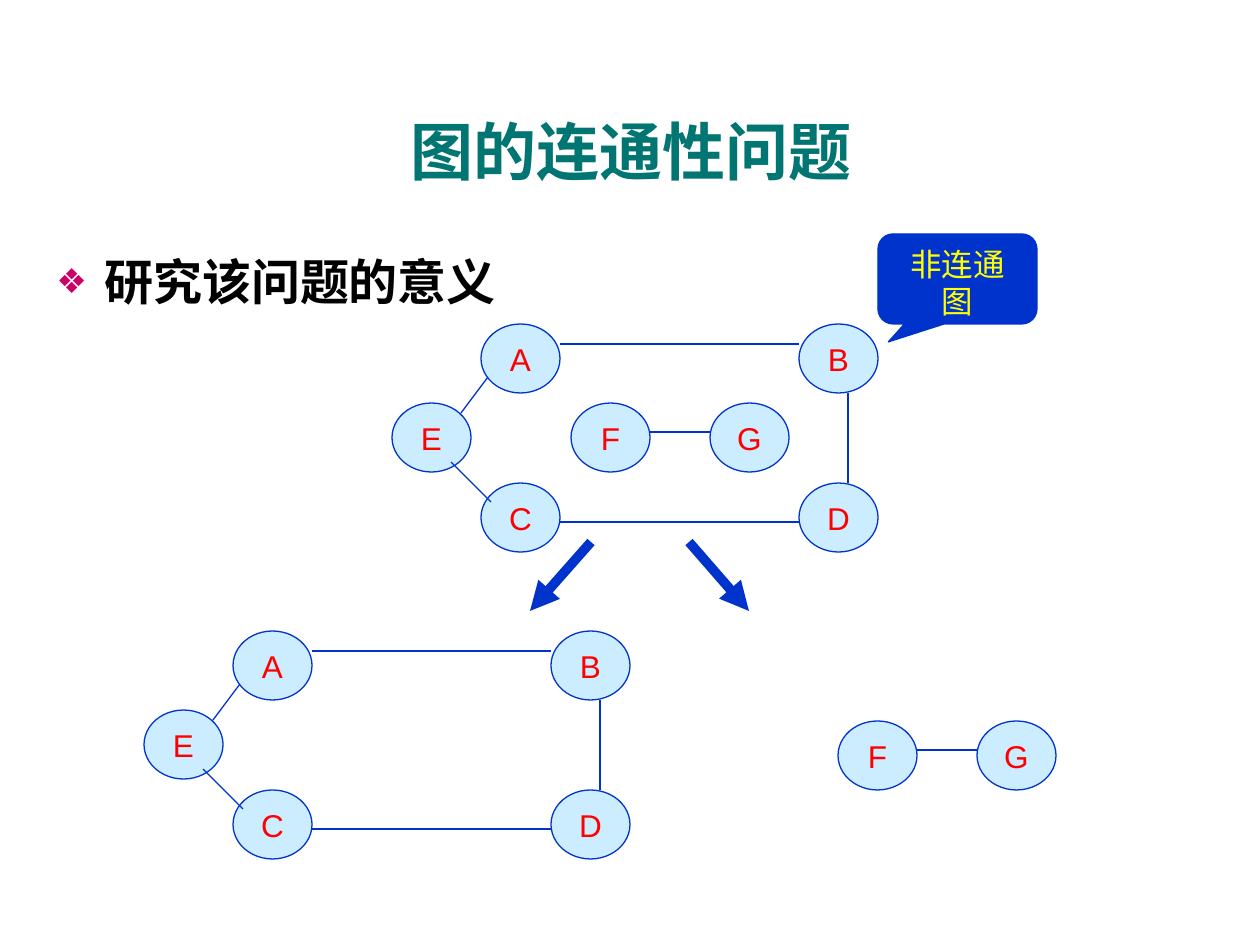
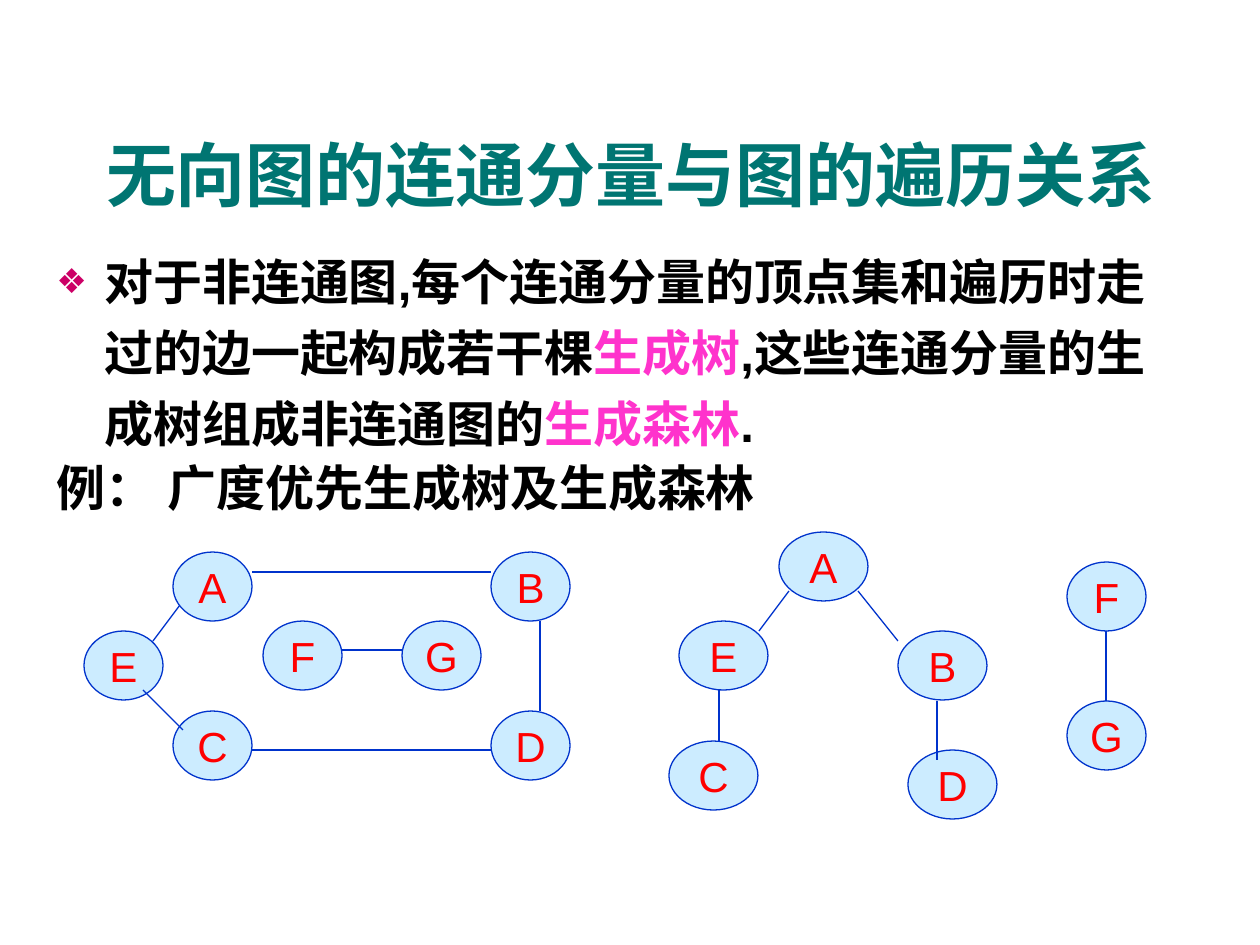
from dataclasses import dataclass

from lxml import etree
from pptx import Presentation
from pptx import util as u
from pptx.dml.color import RGBColor
from pptx.enum import shapes, text
from pptx.oxml.ns import qn

EMU_PER_PX = u.Inches(1) / 126
SLIDE_W, SLIDE_H = 1260, 945
FONT = "Arial"
COLORS = {
    "title": "007572",
    "body": "000000",
    "bullet": "CC0066",
    "keyword": "FF33CC",
    "node": "CCECFF",
    "edge": "0033CC",
    "label": "FF0000",
    "callout_text": "FFFF00",
}
NODE_H = 69


@dataclass
class Graph:
    nodes: dict  # letter: left, top
    edges: list  # x1, y1, x2, y2, drawn over the nodes
    edges_behind: tuple = ()
    node_w: int = 79


# All places are relative to the upper left corner of each graph
RING = Graph(
    nodes={"A": (89, 0), "B": (407, 0), "C": (89, 159), "D": (407, 159), "E": (0, 79)},
    edges=[(168, 20, 407, 20), (168, 198, 407, 198), (59, 138, 99, 178), (456, 69, 456, 159)],
    edges_behind=((99, 49, 69, 89),),
)
PAIR_ACROSS = Graph(nodes={"F": (0, 0), "G": (139, 0)}, edges=[(79, 29, 139, 29)])
PAIR_DOWN = Graph(nodes={"F": (0, 0), "G": (0, 139)}, edges=[(39, 69, 39, 139)])
TREE = Graph(
    nodes={"A": (110, 0), "E": (10, 89), "B": (229, 99), "C": (0, 209), "D": (239, 218)},
    edges=[(120, 59, 90, 99), (50, 158, 50, 209), (189, 59, 229, 109), (268, 169, 268, 228)],
    node_w=89,
)


def px(length):
    return u.Emu(round(length * EMU_PER_PX))


def rgb(name):
    return RGBColor.from_string(COLORS[name])


def add_bullet(paragraph, char="❖", percent=70):
    props = paragraph._p.get_or_add_pPr()
    color = etree.SubElement(props, qn("a:buClr"))
    etree.SubElement(color, qn("a:srgbClr"), val=COLORS["bullet"])
    etree.SubElement(props, qn("a:buSzPct"), val=str(percent * 1000))
    etree.SubElement(props, qn("a:buFont"), typeface=FONT)
    etree.SubElement(props, qn("a:buChar"), char=char)


def write(paragraph, runs, size, color, bold=False, align=None, spacing=None,
          before=None, hanging=0, bullet=False):
    """Fill a paragraph; runs is a string or a list of (words, colour)."""
    paragraph.alignment = align
    if spacing:
        paragraph.line_spacing = spacing
    if before:
        paragraph.space_before = u.Pt(before)
    if hanging:
        props = paragraph._p.get_or_add_pPr()
        props.set("marL", str(px(hanging)))
        props.set("indent", str(-px(hanging)))
    if bullet:
        add_bullet(paragraph)
    for words, run_color in [(runs, color)] if isinstance(runs, str) else runs:
        run = paragraph.add_run()
        run.text = words
        run.font.size = u.Pt(size)
        run.font.bold = bold
        run.font.color.rgb = rgb(run_color)
        run.font.name = FONT
        etree.SubElement(run.font._element, qn("a:ea"), typeface=FONT)


def add_frame(slide, left, top, width, height, anchor=text.MSO_ANCHOR.TOP):
    frame = slide.shapes.add_textbox(px(left), px(top), px(width), px(height)).text_frame
    frame.word_wrap = True
    frame.vertical_anchor = anchor
    return frame


def add_title(slide, words, size, height):
    frame = add_frame(slide, 42, 95, 1177, height, text.MSO_ANCHOR.MIDDLE)
    write(frame.paragraphs[0], words, size, "title", bold=True, align=text.PP_ALIGN.CENTER)


def add_body(slide, width, height, point, example=None):
    frame = add_frame(slide, 44, 234, width, height)
    style = dict(size=28, color="body", bold=True, hanging=48)
    write(frame.paragraphs[0], point, spacing=1.2, bullet=True, **style)
    if example:
        write(frame.add_paragraph(), example, spacing=0.9, before=7, **style)


def add_filled(slide, kind, left, top, width, height, fill):
    shape = slide.shapes.add_shape(kind, px(left), px(top), px(width), px(height))
    shape.shadow.inherit = False
    shape.fill.solid()
    shape.fill.fore_color.rgb = rgb(fill)
    shape.line.color.rgb = rgb("edge")
    shape.line.width = u.Pt(0.75)
    return shape


def add_line(slide, x1, y1, x2, y2, weight=0.75, arrow=False):
    line = slide.shapes.add_connector(
        shapes.MSO_CONNECTOR.STRAIGHT, px(x1), px(y1), px(x2), px(y2))
    line.line.color.rgb = rgb("edge")
    line.line.width = u.Pt(weight)
    if arrow:
        etree.SubElement(line.line._get_or_add_ln(), qn("a:tailEnd"), type="triangle")
    etree.SubElement(line._element.spPr, qn("a:effectLst"))


def add_graph(slide, graph, left, top, label_size):
    def add_edges(edges):
        for x1, y1, x2, y2 in edges:
            add_line(slide, left + x1, top + y1, left + x2, top + y2)

    add_edges(graph.edges_behind)
    for letter, (x, y) in graph.nodes.items():
        node = add_filled(slide, shapes.MSO_SHAPE.OVAL, left + x, top + y,
                          graph.node_w, NODE_H, "node")
        frame = node.text_frame
        frame.word_wrap = False
        frame.vertical_anchor = text.MSO_ANCHOR.MIDDLE
        write(frame.paragraphs[0], letter, label_size, "label", align=text.PP_ALIGN.CENTER)
    add_edges(graph.edges)


def add_callout(slide, left, top, width, height, words):
    callout = add_filled(slide, shapes.MSO_SHAPE.ROUNDED_RECTANGULAR_CALLOUT,
                         left, top, width, height, "edge")
    for index, value in enumerate((-0.435, 0.7, 0.167)):
        callout.adjustments[index] = value
    frame = callout.text_frame
    frame.word_wrap = True
    frame.vertical_anchor = text.MSO_ANCHOR.TOP
    write(frame.paragraphs[0], words, 18, "callout_text", align=text.PP_ALIGN.CENTER)


def build_connectivity(slide):
    add_title(slide, "图的连通性问题", size=36, height=110)
    add_body(slide, 1084, 536, "研究该问题的意义")
    # Unconnected graph
    add_graph(slide, PAIR_ACROSS, 571, 403, label_size=18)
    add_graph(slide, RING, 392, 324, label_size=18)
    # Its two components
    add_graph(slide, RING, 144, 631, label_size=18)
    add_graph(slide, PAIR_ACROSS, 838, 721, label_size=18)
    for start, end in ((591, 530), (689, 749)):
        add_line(slide, start, 542, end, 611, weight=5.5, arrow=True)
    add_callout(slide, 878, 234, 159, 90, "非连通图")


def build_spanning_forest(slide):
    add_title(slide, "无向图的连通分量与图的遍历关系", size=40, height=157)
    add_body(
        slide, 1131, 338,
        [("对于非连通图,每个连通分量的顶点集和遍历时走过的边一起构成若干棵", "body"),
         ("生成树", "keyword"),
         (",这些连通分量的生成树组成非连通图的", "body"),
         ("生成森林", "keyword"),
         (".", "body")],
        example="例： 广度优先生成树及生成森林",
    )
    # Unconnected graph
    add_graph(slide, RING, 84, 552, label_size=24)
    add_graph(slide, PAIR_ACROSS, 263, 621, label_size=24)
    # Spanning forest
    add_graph(slide, TREE, 669, 532, label_size=24)
    add_graph(slide, PAIR_DOWN, 1067, 562, label_size=24)


def main():
    deck = Presentation()
    deck.slide_width, deck.slide_height = px(SLIDE_W), px(SLIDE_H)
    blank = deck.slide_layouts[6]
    for build in (build_connectivity, build_spanning_forest):
        build(deck.slides.add_slide(blank))
    deck.save("out.pptx")


if __name__ == "__main__":
    main()
